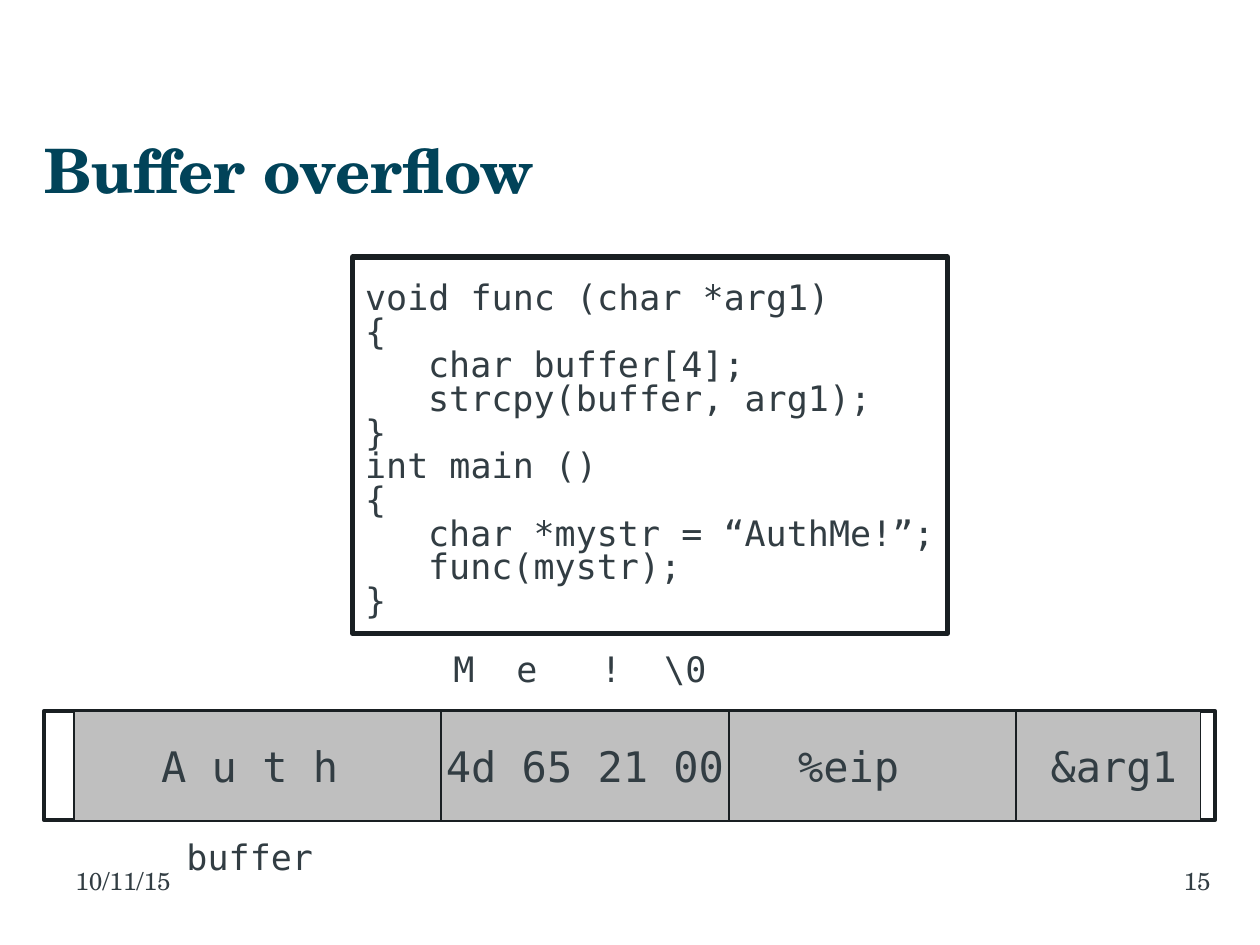
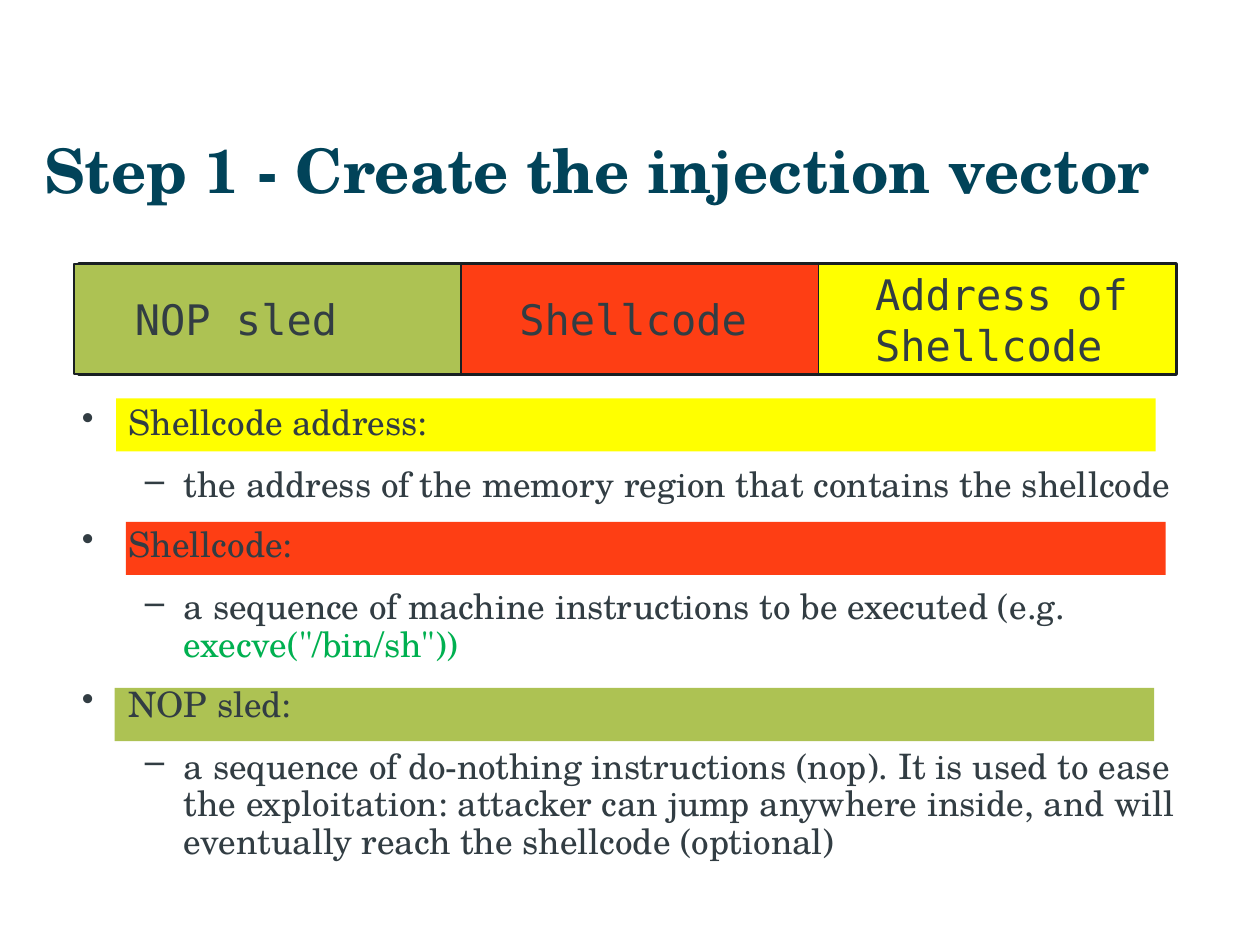
import pptx
import pptx.dml.color
import pptx.enum.shapes
import pptx.enum.text
import pptx.oxml.ns
import pptx.util
from lxml import etree

Cm = pptx.util.Cm
Pt = pptx.util.Pt
RGB = pptx.dml.color.RGBColor.from_string
qn = pptx.oxml.ns.qn


class Theme:
    ink = RGB("323D43")
    heading = RGB("014359")
    outline = RGB("191F22")
    memory = RGB("BFBFBF")
    sled = RGB("ADC253")
    shellcode = RGB("FE3E14")
    address = RGB("FFFF00")
    call = RGB("00B050")
    serif = "TeX Gyre Schola"
    mono = "DejaVu Sans Mono"
    title_size = Pt(35)
    cell_size = Pt(24)
    text_size = Pt(20)
    footer_size = Pt(14)


def write(frame, lines, font, size, color=Theme.ink, bold=False, align="LEFT", left=0.25, right=0.25):
    frame.word_wrap = True
    frame.margin_left, frame.margin_right = Cm(left), Cm(right)
    frame.margin_top = frame.margin_bottom = Cm(0.13)
    for number, line in enumerate(lines):
        paragraph = frame.add_paragraph() if number else frame.paragraphs[0]
        paragraph.text = line
        paragraph.alignment = getattr(pptx.enum.text.PP_ALIGN, align)
        paragraph.font.name = font
        paragraph.font.size = size
        paragraph.font.bold = bold
        paragraph.font.color.rgb = color
    return frame


def add_box(slide, left, top, width, height, fill=None, line_width=None):
    box = slide.shapes.add_shape(
        pptx.enum.shapes.MSO_SHAPE.RECTANGLE, Cm(left), Cm(top), Cm(width), Cm(height))
    box.shadow.inherit = False
    if fill is None:
        box.fill.background()
    else:
        box.fill.solid()
        box.fill.fore_color.rgb = fill
    if line_width is None:
        box.line.fill.background()
    else:
        box.line.color.rgb = Theme.outline
        box.line.width = Pt(line_width)
    return box


deck = pptx.Presentation()
deck.slide_width, deck.slide_height = Cm(25.4), Cm(19.05)
overflow, injection = [deck.slides.add_slide(deck.slide_layouts[6]) for _ in range(2)]

for slide, heading in ((overflow, "Buffer overflow"),
                       (injection, "Step 1 - Create the injection vector")):
    title = slide.shapes.add_textbox(Cm(0.89), Cm(2.51), Cm(23.6), Cm(1.8)).text_frame
    write(title, [heading], Theme.serif, Theme.title_size, Theme.heading, True, left=0)
    title.vertical_anchor = pptx.enum.text.MSO_ANCHOR.MIDDLE

for left, footer, align, right in ((1.27, "10/11/15", "LEFT", 0.25), (18.49, "15", "RIGHT", 0)):
    footer_box = overflow.shapes.add_textbox(Cm(left), Cm(17.33), Cm(5.92), Cm(1.32))
    write(footer_box.text_frame, [footer], Theme.serif, Theme.footer_size, align=align, right=right)

add_box(overflow, 7.11, 5.18, 11.99, 7.59, line_width=3)
code = """void func (char *arg1)
{
\tchar buffer[4];
\tstrcpy(buffer, arg1);
}
int main ()
{
\tchar *mystr = “AuthMe!”;
\tfunc(mystr);
}""".split("\n")
listing = overflow.shapes.add_textbox(Cm(7.11), Cm(5.59), Cm(14.81), Cm(7.75)).text_frame
write(listing, [line.strip() for line in code], Theme.mono, Theme.text_size)
for line, paragraph in zip(code, listing.paragraphs):
    paragraph.line_spacing = 0.8
    if line.startswith("\t"):
        paragraph._p.get_or_add_pPr().set("marL", str(Cm(1.27)))

memory_cells = (
    (7.39, 1.75, ["A u t h"], Theme.memory),
    (5.8, 0.1, ["4d 65 21 00"], Theme.memory),
    (5.8, 1.4, ["%eip"], Theme.memory),
    (3.71, 0.69, ["&arg1"], Theme.memory),
)
vector_cells = (
    (7.8, 1.22, ["NOP sled"], Theme.sled),
    (7.2, 1.17, ["Shellcode"], Theme.shellcode),
    (7.2, 1.14, ["Address of", "Shellcode"], Theme.address),
)
for slide, top, frame_left, frame_width, cells in (
        (overflow, 14.33, 0.89, 23.6, memory_cells),
        (injection, 5.33, 1.6, 22.1, vector_cells)):
    add_box(slide, frame_left, top, frame_width, 2.21, line_width=2.25)
    left = 1.5
    for width, indent, label, fill in cells:
        cell = add_box(slide, left, top, width, 2.21, fill, 1)
        write(cell.text_frame, label, Theme.mono, Theme.cell_size, left=indent, right=0)
        left += width

buffer_label = overflow.shapes.add_textbox(Cm(3.51), Cm(16.71), Cm(3.3), Cm(1.12))
write(buffer_label.text_frame, ["buffer"], Theme.mono, Theme.text_size)
overflowing = overflow.shapes.add_textbox(Cm(8.89), Cm(12.93), Cm(6.6), Cm(1.12))
write(overflowing.text_frame, ["M\te\t!\t\\0"], Theme.mono, Theme.text_size)
tab_stops = etree.SubElement(
    overflowing.text_frame.paragraphs[0]._p.get_or_add_pPr(), qn("a:tabLst"))
for position in (1.27, 2.97, 4.25):
    etree.SubElement(tab_stops, qn("a:tab"), pos=str(Cm(position)), algn="l")

for left, top, highlight in ((2.34, 8.03, Theme.address), (2.54, 10.52, Theme.shellcode),
                             (2.31, 13.87, Theme.sled)):
    add_box(injection, left, top, 20.96, 1.07, highlight)

parts = (
    ("Shellcode address:", "the address of the memory region that contains the shellcode"),
    ("Shellcode:", "a sequence of machine instructions to be executed (e.g. "),
    ("NOP sled:", "a sequence of do-nothing instructions (nop). It is used to ease the exploitation: "
                  "attacker can jump anywhere inside, and will eventually reach the shellcode (optional)"),
)
explanation = injection.shapes.add_textbox(Cm(1.65), Cm(7.95), Cm(22.86), Cm(8.97)).text_frame
write(explanation, [line for part in parts for line in part], Theme.serif, Theme.text_size, left=0)
for number, paragraph in enumerate(explanation.paragraphs):
    level = number % 2
    bullet, margin, hanging, line_spacing, after = (
        ("•", 0.95, 0.95, 1.0, 14), ("–", 2.06, 0.79, 0.9, 10))[level]
    paragraph.level = level
    paragraph.line_spacing = line_spacing
    paragraph.space_after = Pt(after)
    properties = paragraph._p.get_or_add_pPr()
    properties.set("marL", str(Cm(margin)))
    properties.set("indent", str(-Cm(hanging)))
    bullet_mark = etree.Element(qn("a:buChar"), char=bullet)
    properties.find(qn("a:defRPr")).addprevious(bullet_mark)

shell_call = explanation.paragraphs[3].add_run()
shell_call.text = 'execve("/bin/sh"))'
for run, color in zip(explanation.paragraphs[3].runs, (Theme.ink, Theme.call)):
    run.font.name = Theme.serif
    run.font.size = Theme.text_size
    run.font.color.rgb = color

deck.save("out.pptx")
